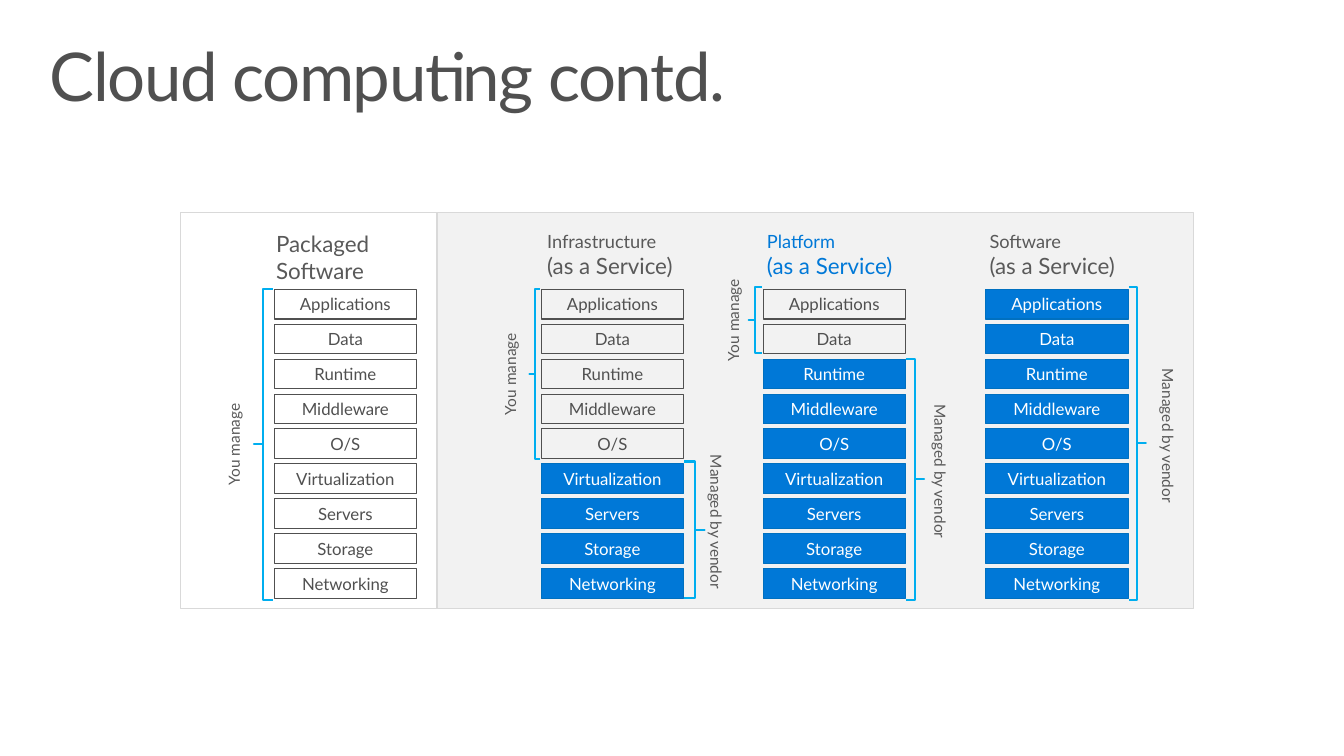
from pptx import Presentation, util as u
from pptx.dml.color import RGBColor
from pptx.enum import shapes, text


class Theme:
    font = "Lato"
    ink = RGBColor(0x50, 0x50, 0x50)
    label = RGBColor(0x59, 0x59, 0x59)
    blue = RGBColor(0x00, 0x78, 0xD7)
    blue_edge = RGBColor(0x00, 0x70, 0xC0)
    brace = RGBColor(0x00, 0xAE, 0xEF)
    white = RGBColor(0xFF, 0xFF, 0xFF)
    panel = RGBColor(0xF2, 0xF2, 0xF2)
    panel_edge = RGBColor(0xD9, 0xD9, 0xD9)
    title_size = 48
    heading_size = 16
    service_size = 13
    row_size = 12
    label_size = 11


def add_shape(kind, x, y, w, h, line, fill=None, weight=0.75):
    sp = s.shapes.add_shape(kind, u.Cm(x), u.Cm(y), u.Cm(w), u.Cm(h))
    sp.shadow.inherit = False
    if fill is None:
        sp.fill.background()
    else:
        sp.fill.solid()
        sp.fill.fore_color.rgb = fill
    sp.line.color.rgb = line
    sp.line.width = u.Pt(weight)
    return sp


def set_text(sp, lines, color, anchor, align, inset=0):
    tf = sp.text_frame
    tf.word_wrap = True
    tf.vertical_anchor = anchor
    tf.margin_left = tf.margin_right = u.Cm(inset)
    tf.margin_top = tf.margin_bottom = 0
    for i, (line, size) in enumerate(lines):
        p = tf.add_paragraph() if i else tf.paragraphs[0]
        p.text = line
        p.alignment = align
        p.font.name = Theme.font
        p.font.size = u.Pt(size)
        p.font.color.rgb = color
    return tf


RECT = shapes.MSO_SHAPE.RECTANGLE
TOP, MIDDLE = text.MSO_ANCHOR.TOP, text.MSO_ANCHOR.MIDDLE
LEFT, CENTER = text.PP_ALIGN.LEFT, text.PP_ALIGN.CENTER

prs = Presentation()
prs.slide_width, prs.slide_height = u.Cm(33.87), u.Cm(19.05)
s = prs.slides.add_slide(prs.slide_layouts[5])

title = s.shapes.title
title.left, title.top, title.width, title.height = u.Cm(0.84), u.Cm(0.84), u.Cm(31.32), u.Cm(1.91)
tf = set_text(title, [("Cloud computing contd.", Theme.title_size)], Theme.ink, TOP, LEFT, 0.41)
tf.margin_top = tf.margin_bottom = u.Cm(0.25)
tf.auto_size = text.MSO_AUTO_SIZE.NONE
p = tf.paragraphs[0]
p.line_spacing = 0.9
p.runs[0].font._element.set("spc", "-100")

add_shape(RECT, 11, 5.36, 19.08, 9.98, Theme.panel_edge, Theme.panel)
add_shape(RECT, 4.55, 5.36, 6.48, 9.98, Theme.panel_edge)

layers = ["Applications", "Data", "Runtime", "Middleware", "O/S",
          "Virtualization", "Servers", "Storage", "Networking"]
row_top, row_pitch, row_width, row_height = 7.29, 0.88, 3.59, 0.75

service = ("(as a Service)", Theme.heading_size)
columns = [
    (6.91, 9, 6.96, 4.09, 0, Theme.label, [("Packaged Software", Theme.heading_size)]),
    (13.64, 5, 13.59, 4.62, 0.2, Theme.label, [("Infrastructure", Theme.service_size), service]),
    (19.23, 2, 19.08, 4.37, 0.25, Theme.blue, [("Platform", Theme.service_size), service]),
    (24.84, 0, 24.69, 4.45, 0.25, Theme.label, [("Software", Theme.service_size), service]),
]
for x, own_layers, heading_x, heading_width, inset, color, heading in columns:
    box = s.shapes.add_textbox(u.Cm(heading_x), u.Cm(5.8), u.Cm(heading_width), u.Cm(1.24))
    set_text(box, heading, color, TOP, LEFT, inset)
    for i, layer in enumerate(layers):
        if i < own_layers:
            line, fill, ink = Theme.ink, None, Theme.ink
        else:
            line, fill, ink = Theme.blue_edge, Theme.blue, Theme.white
        row = add_shape(RECT, x, row_top + i * row_pitch, row_width, row_height, line, fill)
        set_text(row, [(layer, Theme.row_size)], ink, MIDDLE, CENTER)

you = (shapes.MSO_SHAPE.LEFT_BRACE, "You manage", "vert270", 2.44)
vendor = (shapes.MSO_SHAPE.RIGHT_BRACE, "Managed by vendor", "eaVert", 3.76)
braces = [
    (you, 6.4, 7.29, 0.48, 7.82, 5.89),
    (you, 13.34, 7.29, 0.28, 4.27, 12.85),
    (vendor, 17.25, 11.63, 0.51, 3.43, 18.06),
    (you, 18.87, 7.24, 0.33, 1.65, 18.47),
    (vendor, 22.83, 9.04, 0.46, 6.07, 23.7),
    (vendor, 28.45, 7.24, 0.43, 7.87, 29.44),
]
label_width = 0.99
for (kind, words, direction, length), x, y, w, h, label_x in braces:
    brace = add_shape(kind, x, y, w, h, Theme.brace, weight=1.5)
    brace.adjustments[0] = 0
    label = s.shapes.add_textbox(u.Cm(label_x - label_width / 2), u.Cm(y + (h - length) / 2),
                                 u.Cm(label_width), u.Cm(length))
    tf = set_text(label, [(words, Theme.label_size)], Theme.label, MIDDLE, CENTER)
    tf._txBody.bodyPr.set("vert", direction)

prs.save("out.pptx")
